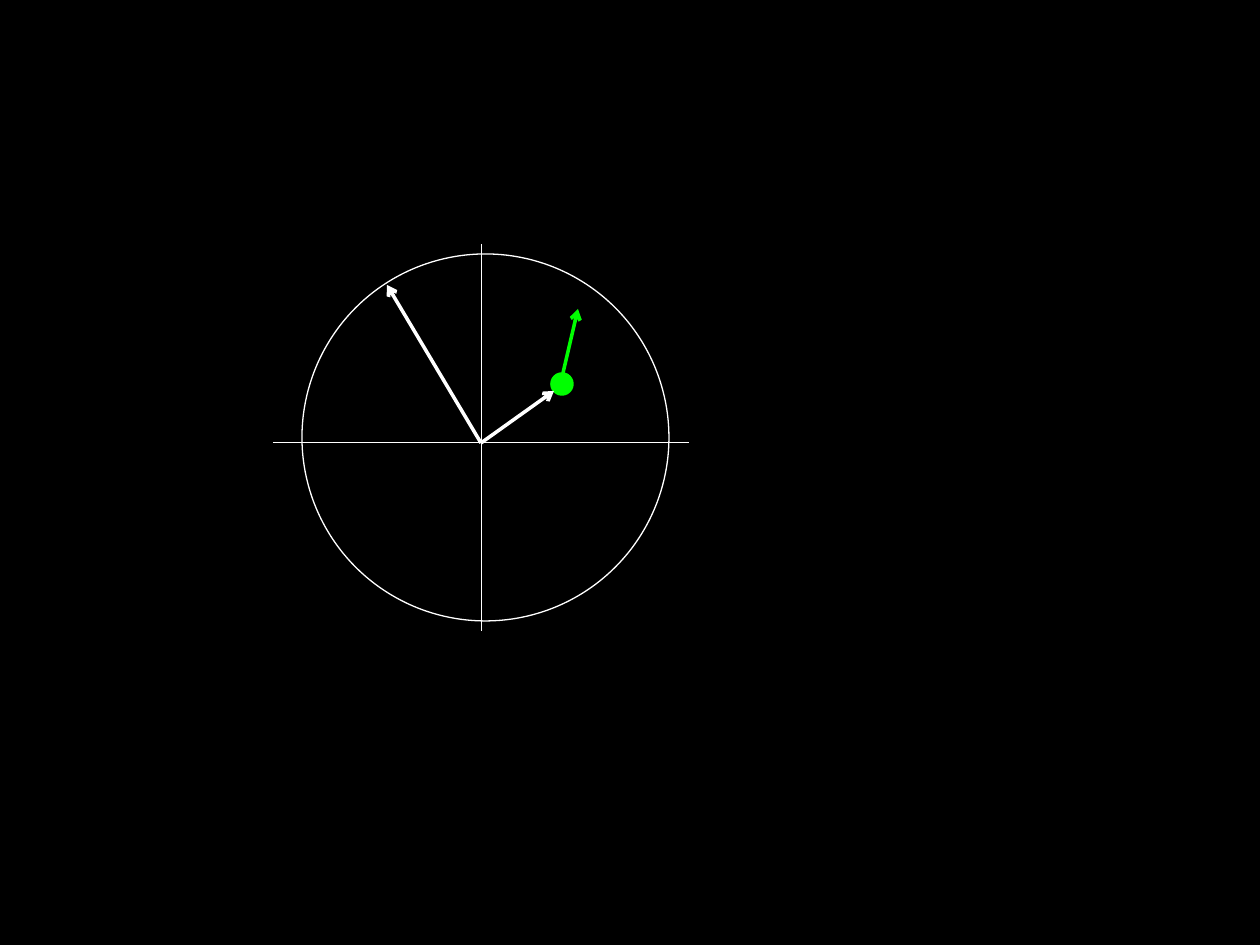
from dataclasses import dataclass
from typing import Optional

from lxml import etree
from pptx import Presentation
from pptx import util as u
from pptx.dml.color import RGBColor
from pptx.enum import shapes
from pptx.oxml.ns import qn

PIXEL = u.Inches(1) // 126
COLOURS = {"space": "000000", "white": "FFFFFF", "green": "00FF00"}
ORIGIN = (481, 443)


@dataclass
class Circle:
    left: int
    top: int
    diameter: int
    colour: str
    width: float
    fill: Optional[str] = None


@dataclass
class Line:
    start: tuple[int, int]
    end: tuple[int, int]
    colour: str
    width: float
    arrow: bool = False


CIRCLES = [
    Circle(302, 254, 367, "white", 0.75),
    Circle(552, 374, 20, "green", 2, "green"),
]
LINES = [
    Line(ORIGIN, (554, 391), "white", 2, True),
    Line((481, 244), (481, 631), "white", 0.25),
    Line((273, 442), (689, 442), "white", 0.25),
    Line((563, 373), (578, 309), "green", 2, True),
    Line(ORIGIN, (387, 285), "white", 2, True),
]


def rgb(name: str) -> RGBColor:
    return RGBColor.from_string(COLOURS[name])


def px(*lengths: int) -> list[int]:
    return [u.Emu(length * PIXEL) for length in lengths]


def style_line(shape, colour: str, width: float) -> None:
    shape.line.color.rgb = rgb(colour)
    shape.line.width = u.Pt(width)


def draw_circle(slide, circle: Circle) -> None:
    shape = slide.shapes.add_shape(
        shapes.MSO_SHAPE.OVAL,
        *px(circle.left, circle.top, circle.diameter, circle.diameter),
    )
    shape.shadow.inherit = False
    style_line(shape, circle.colour, circle.width)
    if circle.fill:
        shape.fill.solid()
        shape.fill.fore_color.rgb = rgb(circle.fill)
    else:
        shape.fill.background()


def draw_line(slide, line: Line) -> None:
    connector = slide.shapes.add_connector(
        shapes.MSO_CONNECTOR.STRAIGHT, *px(*line.start, *line.end)
    )
    style_line(connector, line.colour, line.width)
    if line.arrow:
        outline = connector.line._get_or_add_ln()
        etree.SubElement(outline, qn("a:tailEnd"), type="arrow")
    etree.SubElement(connector._element.spPr, qn("a:effectLst"))


def main() -> None:
    presentation = Presentation()
    presentation.slide_width, presentation.slide_height = px(1260, 945)
    slide = presentation.slides.add_slide(presentation.slide_layouts[6])
    slide.background.fill.solid()
    slide.background.fill.fore_color.rgb = rgb("space")
    for circle in CIRCLES:
        draw_circle(slide, circle)
    for line in LINES:
        draw_line(slide, line)
    presentation.save("out.pptx")


main()
